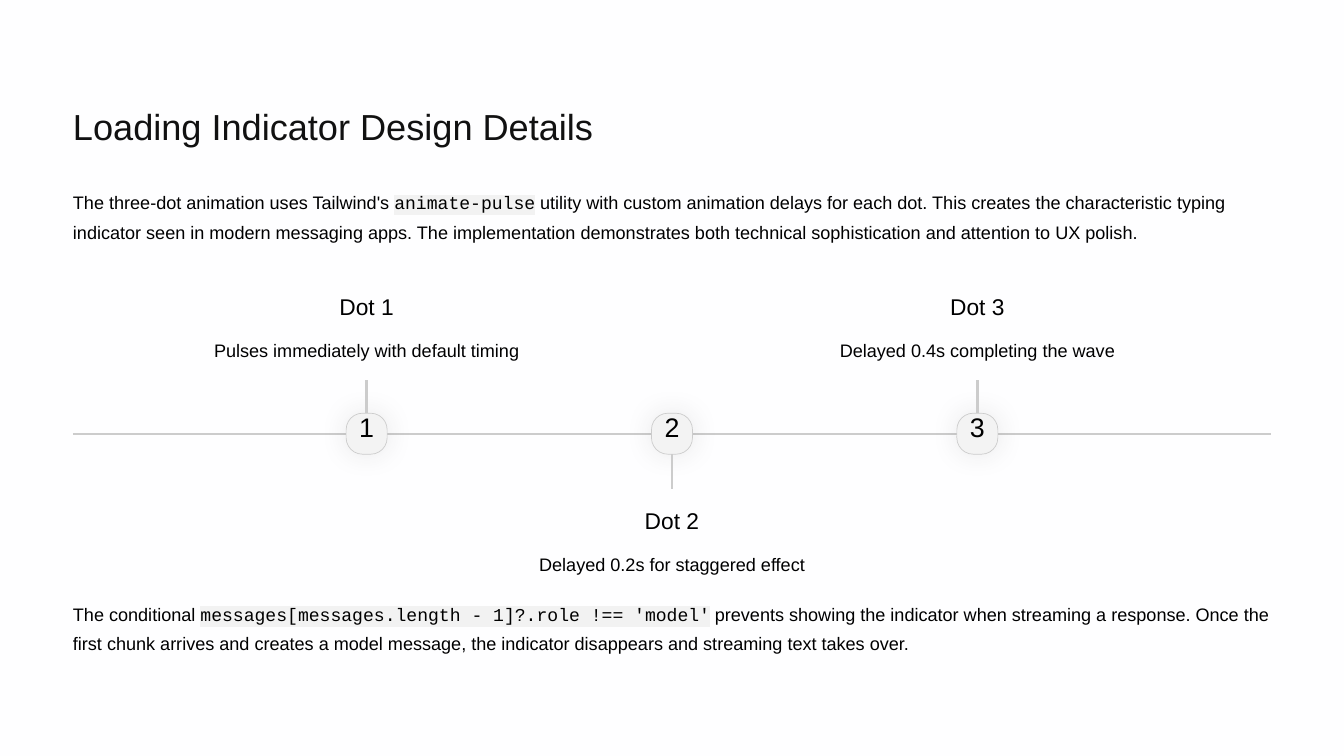
from dataclasses import dataclass

from lxml import etree
from pptx import Presentation
from pptx import util as u
from pptx.dml.color import RGBColor
from pptx.enum import shapes, text
from pptx.oxml.ns import qn

WHITE = RGBColor(0xFF, 0xFF, 0xFF)
TINT = RGBColor(0xFD, 0xFB, 0xFF)
TITLE_INK = RGBColor(0x11, 0x11, 0x11)
INK = RGBColor(0x00, 0x00, 0x00)
RULE = RGBColor(0xCC, 0xCC, 0xCC)
BADGE_FILL = RGBColor(0xF3, 0xF3, 0xF3)
CODE_FILL = RGBColor(0xF2, 0xF2, 0xF2)
SHADOW = RGBColor(0x33, 0x33, 0x33)

BODY_FONT, CODE_FONT = "Arial", "Courier New"
SLIDE_WIDTH, SLIDE_HEIGHT = u.Inches(16), u.Inches(9)


def column(count: float) -> int:
    """Width of columns, each a hundredth of the slide's width."""
    return round(SLIDE_WIDTH * count / 100)


def row(count: float) -> int:
    """Height of rows, each a hundredth of the slide's height."""
    return round(SLIDE_HEIGHT * count / 100)


MARGIN, CONTENT_WIDTH = column(5.43), column(89.14)
AXIS, STEM, BADGE = row(57.44), row(7.22), row(5.42)
CENTER, DOT_STEP = column(50), column(22.72)


@dataclass(frozen=True)
class TextStyle:
    size: float
    line: float
    color: RGBColor = INK
    alignment: text.PP_ALIGN = text.PP_ALIGN.LEFT


@dataclass(frozen=True)
class Passage:
    top: float
    height: float
    before: str
    code: str
    after: str


@dataclass(frozen=True)
class Dot:
    number: int
    caption: str
    above: bool


TITLE = TextStyle(31, 39, TITLE_INK)
BODY = TextStyle(15.5, 25)
NUMBER = TextStyle(23, 23, alignment=text.PP_ALIGN.CENTER)
HEADING = TextStyle(19.5, 24, alignment=text.PP_ALIGN.CENTER)
CAPTION = TextStyle(15.5, 25, alignment=text.PP_ALIGN.CENTER)

PASSAGES = [
    Passage(24.38, 11.56, "The three-dot animation uses Tailwind's ", "animate-pulse",
            " utility with custom animation delays for each dot. This creates the "
            "characteristic typing indicator seen in modern messaging apps. The "
            "implementation demonstrates both technical sophistication and attention "
            "to UX polish."),
    Passage(78.78, 7.67, "The conditional ",
            "messages[messages.length - 1]?.role !== 'model'",
            " prevents showing the indicator when streaming a response. Once the first "
            "chunk arrives and creates a model message, the indicator disappears and "
            "streaming text takes over."),
]
DOTS = [
    Dot(1, "Pulses immediately with default timing", True),
    Dot(2, "Delayed 0.2s for staggered effect", False),
    Dot(3, "Delayed 0.4s completing the wave", True),
]


def write(shape, parts: list[str], style: TextStyle) -> None:
    """Fill a text shape; every second part is highlighted code."""
    frame = shape.text_frame
    frame.word_wrap = True
    frame.auto_size = text.MSO_AUTO_SIZE.NONE
    frame.vertical_anchor = text.MSO_ANCHOR.TOP
    frame.margin_left = frame.margin_right = frame.margin_top = frame.margin_bottom = 0
    paragraph = frame.paragraphs[0]
    paragraph.alignment = style.alignment
    paragraph.line_spacing = u.Pt(style.line)
    for index, part in enumerate(parts):
        run = paragraph.add_run()
        run.text = part
        run.font.size = u.Pt(style.size)
        run.font.color.rgb = style.color
        is_code = index % 2 == 1
        run.font.name = CODE_FONT if is_code else BODY_FONT
        if is_code:
            highlight = etree.Element(qn("a:highlight"))
            etree.SubElement(highlight, qn("a:srgbClr"), val=str(CODE_FILL))
            run.font._element.find(qn("a:solidFill")).addnext(highlight)


def add_text(slide, left: int, top: int, width: int, height: int,
             parts: list[str], style: TextStyle) -> None:
    write(slide.shapes.add_textbox(left, top, width, height), parts, style)


def add_backdrop(slide, color: RGBColor, opacity: int, depth: int) -> None:
    """Cover the slide with a sheet placed behind the title."""
    sheet = slide.shapes.add_shape(shapes.MSO_SHAPE.RECTANGLE,
                                   0, 0, SLIDE_WIDTH, SLIDE_HEIGHT)
    sheet.shadow.inherit = False
    sheet.line.fill.background()
    sheet.fill.solid()
    sheet.fill.fore_color.rgb = color
    if opacity < 100:
        sheet_color = sheet._element.spPr.find(".//" + qn("a:srgbClr"))
        etree.SubElement(sheet_color, qn("a:alpha"), val=str(opacity * 1000))
    slide.shapes.title._element.getparent().insert(2 + depth, sheet._element)


def add_rule(slide, x1: int, y1: int, x2: int, y2: int):
    rule = slide.shapes.add_connector(shapes.MSO_CONNECTOR.STRAIGHT, x1, y1, x2, y2)
    rule.line.color.rgb = RULE
    rule.line.width = u.Pt(2.1)
    etree.SubElement(rule._element.spPr, qn("a:effectLst"))
    return rule


def add_badge(slide, center: int):
    badge = slide.shapes.add_shape(shapes.MSO_SHAPE.ROUNDED_RECTANGLE,
                                   center - BADGE // 2, AXIS - row(0.07) - BADGE // 2,
                                   BADGE, BADGE)
    badge.adjustments[0] = 0.4
    badge.fill.solid()
    badge.fill.fore_color.rgb = BADGE_FILL
    badge.line.color.rgb = RULE
    badge.line.width = u.Pt(0.6)
    # Soft glow-like shadow
    badge.shadow.inherit = False
    effects = badge._element.spPr.find(qn("a:effectLst"))
    shadow = etree.SubElement(effects, qn("a:outerShdw"), blurRad=str(u.Pt(23.4)),
                              dist="0", dir="0", algn="ctr", rotWithShape="0")
    color = etree.SubElement(shadow, qn("a:srgbClr"), val=str(SHADOW))
    etree.SubElement(color, qn("a:alpha"), val="10000")
    return badge


def add_dot(slide, dot: Dot) -> None:
    center = CENTER + (dot.number - 2) * DOT_STEP
    badge = add_badge(slide, center)
    stem_end = AXIS - STEM if dot.above else AXIS + STEM
    stem = add_rule(slide, center, AXIS, center, stem_end)
    stem.begin_connect(badge, 0 if dot.above else 2)

    heading_top = row(38.67 if dot.above else 67)
    labels = [
        (row(55.03), column(2.06), row(4.56), str(dot.number), NUMBER),
        (heading_top, column(16.94), row(3.78), f"Dot {dot.number}", HEADING),
        (heading_top + row(5.22), column(41), row(3.89), dot.caption, CAPTION),
    ]
    for top, width, height, label, style in labels:
        add_text(slide, center - width // 2, top, width, height, [label], style)


def main() -> None:
    presentation = Presentation()
    presentation.slide_width, presentation.slide_height = SLIDE_WIDTH, SLIDE_HEIGHT
    slide = presentation.slides.add_slide(presentation.slide_layouts[5])

    # Backdrop: a tint under a white veil
    add_backdrop(slide, TINT, 100, 0)
    add_backdrop(slide, WHITE, 95, 1)

    # Title
    title = slide.shapes.title
    title.left, title.top = MARGIN, row(13.5)
    title.width, title.height = column(42.75), row(6)
    write(title, ["Loading Indicator Design Details"], TITLE)

    # Opening and closing passages
    for passage in PASSAGES:
        add_text(slide, MARGIN, row(passage.top), CONTENT_WIDTH, row(passage.height),
                 [passage.before, passage.code, passage.after], BODY)

    # Timeline
    add_rule(slide, MARGIN, AXIS, MARGIN + CONTENT_WIDTH, AXIS)
    for dot in DOTS:
        add_dot(slide, dot)

    presentation.save("out.pptx")


if __name__ == "__main__":
    main()
